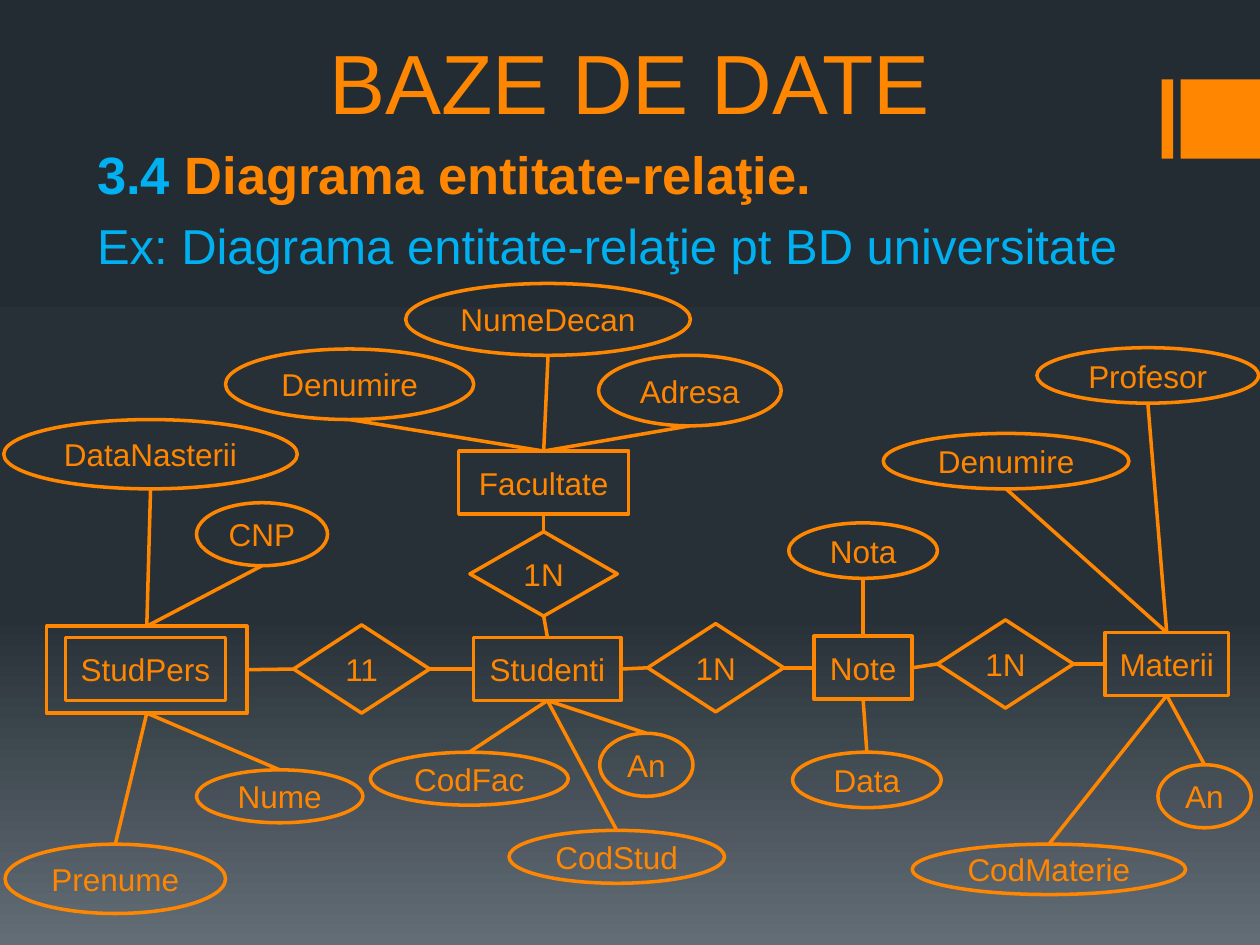
from copy import deepcopy

from lxml import etree
from pptx import Presentation
from pptx.dml.color import RGBColor
from pptx.enum.shapes import MSO_CONNECTOR, MSO_SHAPE
from pptx.enum.text import MSO_ANCHOR, MSO_AUTO_SIZE, PP_ALIGN
from pptx.oxml.ns import qn
from pptx.util import Inches, Pt

RECT, OVAL, DIAMOND = MSO_SHAPE.RECTANGLE, MSO_SHAPE.OVAL, MSO_SHAPE.DIAMOND
STRAIGHT = MSO_CONNECTOR.STRAIGHT
LEFT, CENTER = PP_ALIGN.LEFT, PP_ALIGN.CENTER
TOP, MIDDLE, BOTTOM = MSO_ANCHOR.TOP, MSO_ANCHOR.MIDDLE, MSO_ANCHOR.BOTTOM
ORANGE = RGBColor(0xFF, 0x86, 0x00)
BLUE = RGBColor(0x00, 0xB0, 0xF0)
BACKDROP = [
    (0, RGBColor(0x24, 0x2C, 0x33)),
    (0.65, RGBColor(0x27, 0x30, 0x37)),
    (1, RGBColor(0x63, 0x6D, 0x76)),
]
FONT = "Arial"

# Paragraphs of runs: text, size, colour, bold
TITLE = [[("BAZE DE DATE", 48, ORANGE, False)]]
INTRO = [
    [("3.4 ", 30, BLUE, True), ("Diagrama entitate-relaţie.", 30, ORANGE, True)],
    [("Ex: Diagrama entitate-relaţie pt BD universitate", 28, BLUE, False)],
]

# Diagram nodes: key -> (label, left, top, width, height), in inches
ENTITIES = {
    "students": ("Studenti", 3.76, 5.06, 1.17, 0.5),
    "personal": ("StudPers", 0.52, 5.06, 1.27, 0.5),
    "personal frame": ("", 0.37, 4.97, 1.59, 0.69),
    "faculty": ("Facultate", 3.64, 3.58, 1.35, 0.5),
    "grades": ("Note", 6.46, 5.05, 0.78, 0.5),
    "subjects": ("Materii", 8.77, 5.02, 0.98, 0.5),
}
RELATIONS = {
    "personal-students": ("11", 2.33, 4.96, 1.08, 0.7),
    "faculty-students": ("1N", 3.73, 4.22, 1.17, 0.67),
    "students-grades": ("1N", 5.14, 4.95, 1.08, 0.7),
    "grades-subjects": ("1N", 7.44, 4.92, 1.08, 0.7),
}
ATTRIBUTES = {
    "birth date": ("DataNasterii", 0.03, 3.33, 2.33, 0.55),
    "personal code": ("CNP", 1.56, 3.99, 1.04, 0.5),
    "last name": ("Nume", 1.56, 6.11, 1.32, 0.42),
    "first name": ("Prenume", 0.04, 6.7, 1.75, 0.55),
    "faculty name": ("Denumire", 1.79, 2.77, 1.97, 0.56),
    "dean": ("NumeDecan", 3.22, 2.25, 2.26, 0.57),
    "address": ("Adresa", 4.75, 2.82, 1.45, 0.56),
    "faculty code": ("CodFac", 2.94, 5.97, 1.57, 0.42),
    "student year": ("An", 4.76, 5.82, 0.74, 0.5),
    "student code": ("CodStud", 4.04, 6.59, 1.71, 0.42),
    "grade": ("Nota", 6.26, 4.15, 1.18, 0.44),
    "date": ("Data", 6.29, 5.97, 1.18, 0.44),
    "professor": ("Profesor", 8.23, 2.76, 1.76, 0.44),
    "subject name": ("Denumire", 7.01, 3.44, 1.95, 0.44),
    "subject code": ("CodMaterie", 7.24, 6.7, 2.17, 0.4),
    "subject year": ("An", 9.19, 6.07, 0.74, 0.5),
}
NODES = {**ENTITIES, **RELATIONS, **ATTRIBUTES}

# Links by reading direction
ACROSS = [
    ("personal frame", "personal-students", "students", "students-grades",
     "grades", "grades-subjects", "subjects"),
]
DOWN = [
    ("faculty", "faculty-students", "students"),
    *[(name, "faculty") for name in ("faculty name", "dean", "address")],
    *[(name, "personal frame") for name in ("birth date", "personal code")],
    *[("personal frame", name) for name in ("last name", "first name")],
    *[("students", name) for name in ("faculty code", "student year", "student code")],
    ("grade", "grades", "date"),
    *[(name, "subjects") for name in ("professor", "subject name")],
    *[("subjects", name) for name in ("subject code", "subject year")],
]


def write(box, paragraphs, align, anchor, wrap=True, before=0):
    frame = box.text_frame
    frame.auto_size = MSO_AUTO_SIZE.NONE
    frame.word_wrap = wrap
    frame.vertical_anchor = anchor
    for number, runs in enumerate(paragraphs):
        para = frame.add_paragraph() if number else frame.paragraphs[0]
        para.alignment = align
        para.space_before = Pt(before)
        for text, size, color, bold in runs:
            span = para.add_run()
            span.text = text
            span.font.name, span.font.size, span.font.bold = FONT, Pt(size), bold
            span.font.color.rgb = color


def place(box, left, top, width, height):
    box.left, box.top = Inches(left), Inches(top)
    box.width, box.height = Inches(width), Inches(height)


def add_box(page, kind, place_at):
    box = page.shapes.add_shape(kind, *map(Inches, place_at))
    box.shadow.inherit = False
    return box


def side(name, across, down):
    """Point of a node at the given shares of its width and height."""
    _, left, top, width, height = NODES[name]
    return Inches(left + across * width), Inches(top + down * height)


def add_links(page, chains, leave, enter):
    for chain in chains:
        for first, second in zip(chain, chain[1:]):
            link = page.shapes.add_connector(
                STRAIGHT, *side(first, *leave), *side(second, *enter))
            link.line.color.rgb = ORANGE
            link.line.width = Pt(2)
            etree.SubElement(link._element.spPr, qn("a:effectLst"))


def paint_background(page):
    fill = page.background.fill
    fill.gradient()
    fill.gradient_angle = 270
    stops = page.element.xpath(".//a:gsLst")[0]
    stops.append(deepcopy(stops[-1]))
    for stop, (position, color) in zip(fill.gradient_stops, BACKDROP):
        stop.position = position
        stop.color.rgb = color
        for tweak in list(stop.color._color._xClr):
            tweak.getparent().remove(tweak)


def main():
    deck = Presentation()
    deck.slide_width, deck.slide_height = Inches(10), Inches(7.5)
    page = deck.slides.add_slide(deck.slide_layouts[0])
    paint_background(page)

    # Title and introduction
    title, intro = page.placeholders
    place(title, 0.75, 0, 8.5, 1.09)
    write(title, TITLE, CENTER, BOTTOM)
    place(intro, 0.67, 1.08, 8.67, 5.75)
    write(intro, INTRO, LEFT, TOP, before=6)

    # Corner bars
    for left, width in ((9.22, 0.09), (9.37, 0.63)):
        bar = add_box(page, RECT, (left, 0.63, width, 0.63))
        bar.fill.solid()
        bar.fill.fore_color.rgb = ORANGE
        bar.line.fill.background()

    # Links, then nodes
    add_links(page, ACROSS, leave=(1, 0.5), enter=(0, 0.5))
    add_links(page, DOWN, leave=(0.5, 1), enter=(0.5, 0))
    for kind, group in ((RECT, ENTITIES), (DIAMOND, RELATIONS), (OVAL, ATTRIBUTES)):
        for label, *place_at in group.values():
            node = add_box(page, kind, place_at)
            node.fill.background()
            node.line.color.rgb = ORANGE
            node.line.width = Pt(2)
            if label:
                write(node, [[(label, 18, ORANGE, False)]], CENTER, MIDDLE, wrap=False)

    deck.save("out.pptx")


if __name__ == "__main__":
    main()
